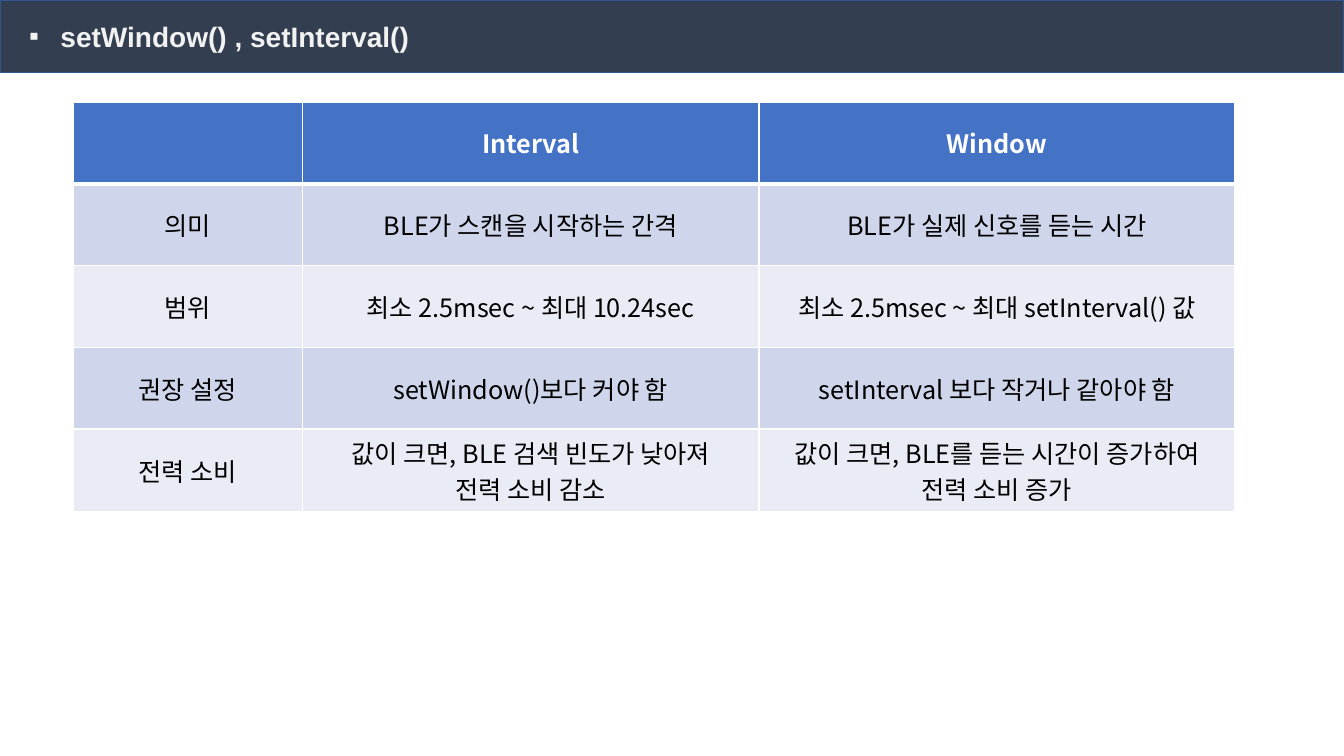
from lxml import etree
from pptx import Presentation, util as u
from pptx.dml.color import RGBColor
from pptx.enum import text
from pptx.oxml import ns

HUES = {
    "bar": "333F50", "edge": "325491", "title": "F2F2F2",
    "head": "4472C4", "odd": "CFD5EA", "even": "E9EBF5",
    "white": "FFFFFF", "black": "000000",
}
FACE = "Noto Sans CJK KR"
ROWS = [
    ["", "Interval", "Window"],
    ["의미", "BLE가 스캔을 시작하는 간격", "BLE가 실제 신호를 듣는 시간"],
    ["범위", "최소 2.5msec ~ 최대 10.24sec", "최소 2.5msec ~ 최대 setInterval() 값"],
    ["권장 설정", "setWindow()보다 커야 함", "setInterval 보다 작거나 같아야 함"],
    ["전력 소비", "값이 크면, BLE 검색 빈도가 낮아져\n전력 소비 감소",
     "값이 크면, BLE를 듣는 시간이 증가하여\n전력 소비 증가"],
]
WIDTHS = [5.77, 11.51, 11.99]
HIGH = 2.06


def hue(name):
    return RGBColor.from_string(HUES[name])


def add(node, tag, **attrs):
    """Append a DrawingML child with the given attributes."""
    return etree.SubElement(node, ns.qn("a:" + tag), attrs)


deck = Presentation()
deck.slide_width, deck.slide_height = u.Cm(33.87), u.Cm(19.05)
slide = deck.slides.add_slide(deck.slide_layouts[5])

# Title bar
title = slide.shapes.title
title.left, title.top = u.Cm(0), u.Cm(0)
title.width, title.height = deck.slide_width, u.Cm(1.83)
title.fill.solid()
title.fill.fore_color.rgb = hue("bar")
title.line.color.rgb = hue("edge")
title.line.width = u.Pt(1)
frame = title.text_frame
frame.text = "setWindow() , setInterval()"
frame.auto_size = text.MSO_AUTO_SIZE.NONE
frame.vertical_anchor = text.MSO_ANCHOR.MIDDLE
para = frame.paragraphs[0]
para.alignment = text.PP_ALIGN.LEFT
props = para._p.get_or_add_pPr()
props.set("marL", str(u.Cm(1.27)))
props.set("indent", str(u.Cm(-0.79)))
add(props, "buFont", typeface="Arial")
add(props, "buChar", char="▪")
para.font.name = "Arial"
para.font.size = u.Pt(20)
para.font.bold = True
para.font.color.rgb = hue("title")

# Comparison table
table = slide.shapes.add_table(
    len(ROWS), len(WIDTHS), u.Cm(1.85), u.Cm(2.57),
    u.Cm(sum(WIDTHS)), u.Cm(HIGH * len(ROWS))).table
for col, width in zip(table.columns, WIDTHS):
    col.width = u.Cm(width)
for i, row in enumerate(ROWS):
    table.rows[i].height = u.Cm(HIGH)
    for j, words in enumerate(row):
        cell = table.cell(i, j)
        cell.vertical_anchor = text.MSO_ANCHOR.MIDDLE
        props = cell._tc.get_or_add_tcPr()
        for side in "LRTB":
            thick = (i, side) in [(0, "B"), (1, "T")]
            line = add(props, "ln" + side, w=str(u.Pt(3 if thick else 1)))
            add(add(line, "solidFill"), "srgbClr", val=HUES["white"])
        cell.fill.solid()
        cell.fill.fore_color.rgb = hue("head" if i == 0 else "odd" if i % 2 else "even")
        if not words:
            continue
        cell.text = words
        for para in cell.text_frame.paragraphs:
            para.alignment = text.PP_ALIGN.CENTER
            para.font.size = u.Pt(18)
            para.font.bold = i == 0
            para.font.color.rgb = hue("black" if i else "white")
            para.font.name = FACE
            add(para._p.pPr.find(ns.qn("a:defRPr")), "ea", typeface=FACE)

deck.save("out.pptx")
